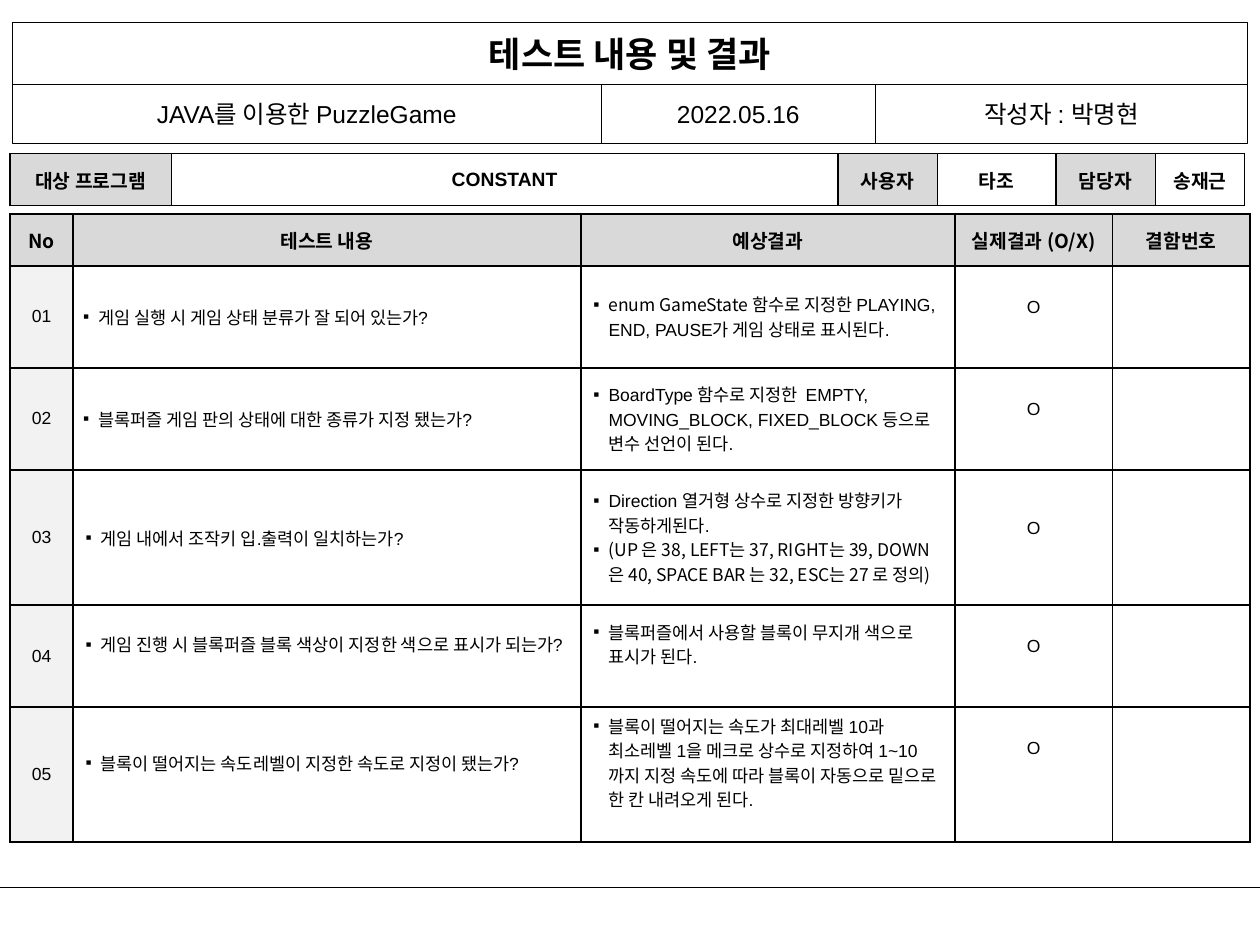
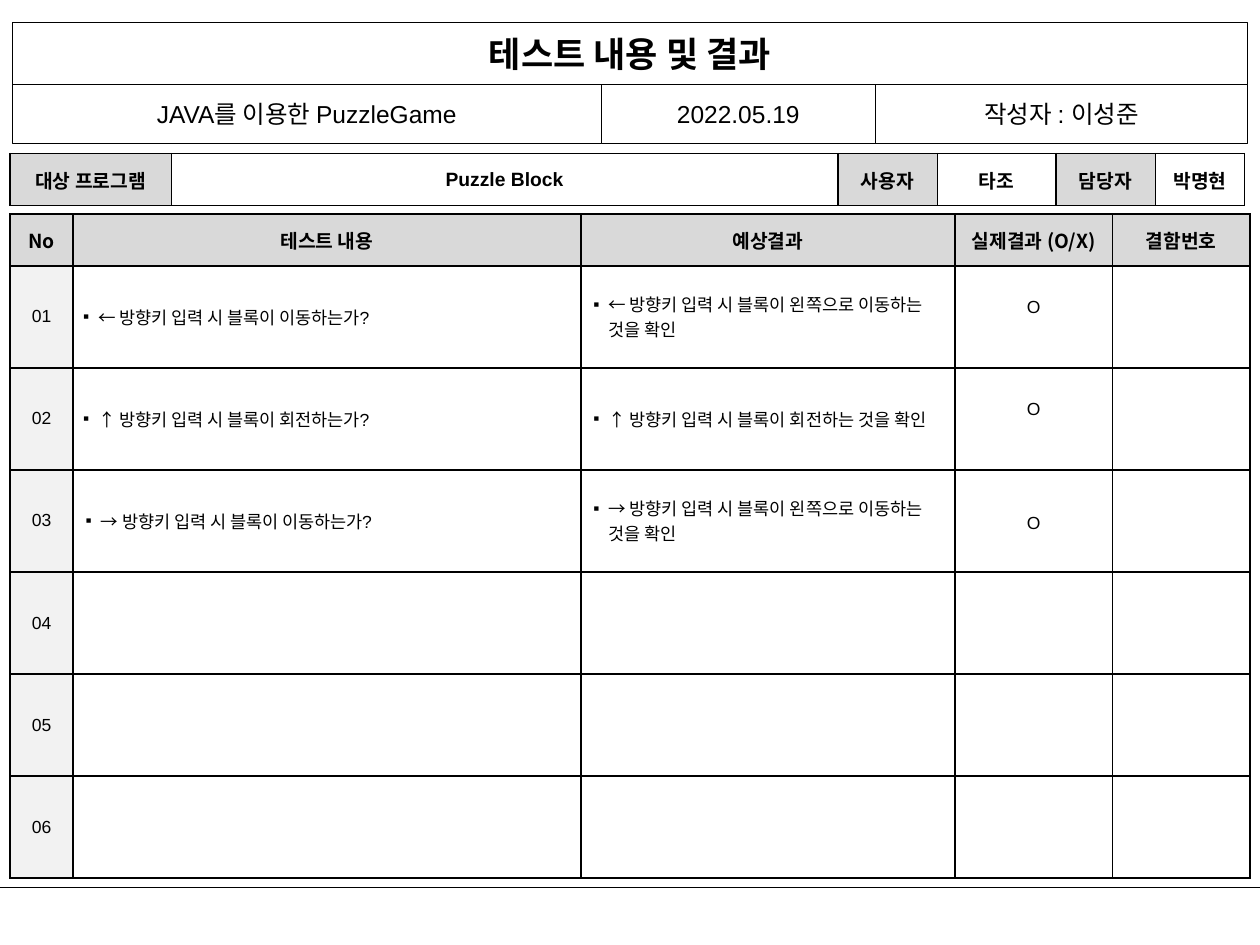
from dataclasses import dataclass
from itertools import accumulate
from typing import Any, Optional

from lxml.etree import SubElement
from pptx import Presentation
from pptx.dml.color import RGBColor
from pptx.enum.shapes import MSO_CONNECTOR, MSO_SHAPE
from pptx.enum.text import MSO_ANCHOR, MSO_AUTO_SIZE, PP_ALIGN
from pptx.oxml.ns import qn
from pptx.util import Inches, Pt

BLACK = RGBColor(0x00, 0x00, 0x00)
WHITE = RGBColor(0xFF, 0xFF, 0xFF)
HEADER_GREY = RGBColor(0xD9, 0xD9, 0xD9)
NUMBER_GREY = RGBColor(0xF2, 0xF2, 0xF2)
LATIN, KOREAN = "Arial", "Noto Sans CJK KR"

SLIDE_WIDTH, SLIDE_HEIGHT = 10, 7.5
FOOTER_TOP = 7.04
BANNER_LEFT, BANNER_TOP = 0.1, 0.18
BANNER_ROWS = (0.49, 0.47)
BANNER_COLUMNS = (4.67, 2.18, 2.95)
TABLE_LEFT, TARGET_TOP, TESTS_TOP = 0.08, 1.22, 1.7
TARGET_COLUMNS = (1.28, 5.29, 0.79, 0.94, 0.79, 0.71)
TEST_COLUMNS = (0.5, 4.03, 2.97, 1.25, 1.09)
HEADER_ROW, TEST_ROW, TALL_TEST_ROW = 0.41, 0.81, 1.07
LINE_PITCH = Pt(14)
BULLET_INDENT = 0.12
MARGIN = 0.05
LINE_LIFT = 0.19

TITLE = "테스트 내용 및 결과"
PROJECT = "JAVA를 이용한 PuzzleGame"
TEST_HEADINGS = ("No", "테스트 내용", "예상결과", "실제결과 (O/X)", "결함번호")


@dataclass(frozen=True)
class Run:
    """A stretch of text in one typeface."""
    text: str
    font: str = LATIN


@dataclass(frozen=True)
class Cell:
    """Content and look of one table cell."""
    paragraphs: tuple[tuple[Run, ...], ...] = ()
    fill: Optional[RGBColor] = None
    size: float = 10
    bold: bool = False
    bulleted: bool = False
    spacing: Optional[int] = None
    left: float = 0.1
    lift: float = 0


@dataclass(frozen=True)
class Test:
    """One test case; lifts raise a text above the middle of its cell."""
    question: str = ""
    expected: tuple[tuple[Run, ...], ...] = ()
    result: str = ""
    question_lift: float = 0
    expected_lift: float = 0
    result_lift: float = LINE_LIFT
    result_spacing: Optional[int] = LINE_PITCH
    height: float = TEST_ROW


@dataclass(frozen=True)
class Report:
    """Everything that differs from one report slide to the next."""
    date: str
    author: str
    program: str
    manager: str
    tests: tuple[Test, ...]


def line(text: str, font: str = LATIN) -> tuple[Run, ...]:
    """Make a paragraph of a single run."""
    return (Run(text, font),)


REPORTS = (
    Report("2022.05.16", "박명현", "CONSTANT", "송재근", (
        Test("게임 실행 시 게임 상태 분류가 잘 되어 있는가?",
             ((Run("enum GameState 함수로 지정한 ", KOREAN),
               Run("PLAYING, END, PAUSE가 게임 상태로 표시된다.")),), "O"),
        Test("블록퍼즐 게임 판의 상태에 대한 종류가 지정 됐는가?",
             (line("BoardType 함수로 지정한  EMPTY, MOVING_BLOCK, FIXED_BLOCK "
                   "등으로 변수 선언이 된다."),), "O"),
        Test("게임 내에서 조작키 입.출력이 일치하는가?",
             (line("Direction 열거형 상수로 지정한 방향키가 작동하게된다. "),
              line("(UP 은 38, LEFT는 37, RIGHT는 39, DOWN 은 40, "
                   "SPACE BAR 는 32, ESC는 27 로 정의)", KOREAN)),
             "O", height=TALL_TEST_ROW),
        Test("게임 진행 시 블록퍼즐 블록 색상이 지정한 색으로 표시가 되는가?",
             (line("블록퍼즐에서 사용할 블록이 무지개 색으로 표시가 된다."),),
             "O", LINE_LIFT, LINE_LIFT),
        Test("블록이 떨어지는 속도레벨이 지정한 속도로 지정이 됐는가?",
             (line("블록이 떨어지는 속도가 최대레벨 10과 최소레벨 1을 메크로 상수로 "
                   "지정하여 1~10까지 지정 속도에 따라 블록이 자동으로 밑으로 "
                   "한 칸 내려오게 된다."),),
             "O", LINE_LIFT, LINE_LIFT, 0.42, None, TALL_TEST_ROW),
    )),
    Report("2022.05.19", "이성준", "Puzzle Block", "박명현", (
        Test("← 방향키 입력 시 블록이 이동하는가?",
             (line("← 방향키 입력 시 블록이 왼쪽으로 이동하는 것을 확인"),), "O"),
        Test("↑ 방향키 입력 시 블록이 회전하는가?",
             (line("↑ 방향키 입력 시 블록이 회전하는 것을 확인"),), "O"),
        Test("→ 방향키 입력 시 블록이 이동하는가?",
             (line("→ 방향키 입력 시 블록이 왼쪽으로 이동하는 것을 확인"),), "O",
             result_lift=0),
        Test(), Test(), Test(),
    )),
)


def apply_format(target: Any, values: dict[str, Any]) -> None:
    """Set each named attribute of the target."""
    for attribute, value in values.items():
        setattr(target, attribute, value)


def write_run(paragraph: Any, content: Run, size: float, bold: bool) -> None:
    """Add a black run with its Latin and East Asian typefaces."""
    run = paragraph.add_run()
    run.text = content.text
    apply_format(run.font, {"name": content.font, "size": Pt(size), "bold": bold})
    run.font.color.rgb = BLACK
    properties = run.font._element
    east_asian = properties.makeelement(qn("a:ea"), {"typeface": KOREAN})
    properties.find(qn("a:latin")).addnext(east_asian)


def add_bullet(paragraph: Any) -> None:
    """Give a paragraph a small square bullet and a hanging indent."""
    properties = paragraph._p.get_or_add_pPr()
    properties.set("marL", str(Inches(BULLET_INDENT)))
    properties.set("indent", str(-Inches(BULLET_INDENT)))
    SubElement(properties, qn("a:buFont"), typeface=LATIN)
    SubElement(properties, qn("a:buChar"), char="▪")


def add_borders(table_cell: Any) -> None:
    """Draw a thin black border on all four sides of a cell."""
    properties = table_cell._tc.get_or_add_tcPr()
    for side in ("lnL", "lnR", "lnT", "lnB"):
        border = SubElement(properties, qn(f"a:{side}"), w=str(Pt(1)))
        fill = SubElement(border, qn("a:solidFill"))
        SubElement(fill, qn("a:srgbClr"), val=str(BLACK))


def fill_cell(table_cell: Any, content: Cell) -> None:
    """Write and format one table cell."""
    apply_format(table_cell, {
        "vertical_anchor": MSO_ANCHOR.MIDDLE,
        "margin_left": Inches(content.left), "margin_right": Inches(0.1),
        "margin_top": Inches(MARGIN),
        "margin_bottom": Inches(MARGIN + content.lift)})
    add_borders(table_cell)
    if content.fill is None:
        table_cell.fill.background()
    else:
        table_cell.fill.solid()
        table_cell.fill.fore_color.rgb = content.fill
    frame = table_cell.text_frame
    for index, runs in enumerate(content.paragraphs):
        paragraph = frame.add_paragraph() if index else frame.paragraphs[0]
        if content.spacing:
            paragraph.line_spacing = content.spacing
        if content.bulleted:
            add_bullet(paragraph)
        else:
            paragraph.alignment = PP_ALIGN.CENTER
        for run in runs:
            write_run(paragraph, run, content.size, content.bold)


def draw_table(slide: Any, top: float, columns: tuple[float, ...],
               heights: list[float], rows: list[list[Cell]]) -> None:
    """Place a plain bordered table of the given cells."""
    table = slide.shapes.add_table(
        len(rows), len(columns), Inches(TABLE_LEFT), Inches(top),
        Inches(sum(columns)), Inches(sum(heights))).table
    apply_format(table, {"first_row": False, "horz_banding": False})
    for column, width in zip(table.columns, columns):
        column.width = Inches(width)
    for row, height, contents in zip(table.rows, heights, rows):
        row.height = Inches(height)
        for table_cell, content in zip(row.cells, contents):
            fill_cell(table_cell, content)


def style_box(box: Any, content: Run, size: float, bold: bool = False) -> None:
    """Make a shape a white, hairline box with centred text."""
    box.fill.solid()
    box.fill.fore_color.rgb = WHITE
    box.line.color.rgb = BLACK
    box.line.width = Pt(0.25)
    frame = box.text_frame
    apply_format(frame, {
        "word_wrap": True, "auto_size": MSO_AUTO_SIZE.NONE,
        "vertical_anchor": MSO_ANCHOR.MIDDLE})
    frame.paragraphs[0].alignment = PP_ALIGN.CENTER
    write_run(frame.paragraphs[0], content, size, bold)


def draw_banner(slide: Any, report: Report) -> None:
    """Draw the title bar and the project, date and author below it."""
    title_height, detail_height = BANNER_ROWS
    title = slide.shapes.title
    apply_format(title, {
        "left": Inches(BANNER_LEFT), "top": Inches(BANNER_TOP),
        "width": Inches(sum(BANNER_COLUMNS)), "height": Inches(title_height)})
    style_box(title, Run(TITLE, KOREAN), 20, True)
    details = (PROJECT, report.date, f"작성자 : {report.author}")
    lefts = accumulate(BANNER_COLUMNS, initial=BANNER_LEFT)
    for detail, left, width in zip(details, lefts, BANNER_COLUMNS):
        box = slide.shapes.add_shape(
            MSO_SHAPE.RECTANGLE, Inches(left), Inches(BANNER_TOP + title_height),
            Inches(width), Inches(detail_height))
        box.shadow.inherit = False
        style_box(box, Run(detail), 14)


def draw_target(slide: Any, report: Report) -> None:
    """Draw the strip of label and value pairs."""
    pairs = (("대상 프로그램", report.program), ("사용자", "타조"),
             ("담당자", report.manager))
    cells = [Cell((line(text),), fill, size=11, bold=True)
             for pair in pairs for text, fill in zip(pair, (HEADER_GREY, None))]
    draw_table(slide, TARGET_TOP, TARGET_COLUMNS, [HEADER_ROW], [cells])


def test_cells(number: int, test: Test) -> list[Cell]:
    """Lay out one test case as a table row."""
    number_cell = Cell((line(f"{number:02}"),), NUMBER_GREY)
    if not test.question:
        return [number_cell] + [Cell()] * (len(TEST_COLUMNS) - 1)
    early = number <= 2
    return [
        number_cell,
        Cell((line(test.question),), bulleted=True, lift=test.question_lift,
             spacing=LINE_PITCH if early else None, left=0.08 if early else 0.1),
        Cell(test.expected, bulleted=True, spacing=LINE_PITCH,
             lift=test.expected_lift),
        Cell((line(test.result),), spacing=test.result_spacing,
             lift=test.result_lift),
        Cell(),
    ]


def draw_tests(slide: Any, report: Report) -> None:
    """Draw the table of test cases."""
    headings = [Cell((line(heading, KOREAN),), HEADER_GREY, size=11, bold=True)
                for heading in TEST_HEADINGS]
    rows = [test_cells(number, test)
            for number, test in enumerate(report.tests, start=1)]
    heights = [HEADER_ROW] + [test.height for test in report.tests]
    draw_table(slide, TESTS_TOP, TEST_COLUMNS, heights, [headings] + rows)


def draw_footer_rule(slide: Any) -> None:
    """Draw the rule near the bottom and hand it to the slide's layout."""
    rule = slide.shapes.add_connector(
        MSO_CONNECTOR.STRAIGHT, 0, Inches(FOOTER_TOP),
        Inches(SLIDE_WIDTH), Inches(FOOTER_TOP))
    rule.line.color.rgb = BLACK
    rule.line.width = Pt(0.5)
    SubElement(rule._element.spPr, qn("a:effectLst"))
    slide.slide_layout.shapes._spTree.append(rule._element)


def main() -> None:
    """Build the report slides and save them."""
    deck = Presentation()
    apply_format(deck, {"slide_width": Inches(SLIDE_WIDTH),
                        "slide_height": Inches(SLIDE_HEIGHT)})
    for report in REPORTS:
        slide = deck.slides.add_slide(deck.slide_layouts[5])
        draw_target(slide, report)
        draw_tests(slide, report)
        draw_banner(slide, report)
    draw_footer_rule(deck.slides[0])
    deck.save("out.pptx")


main()
